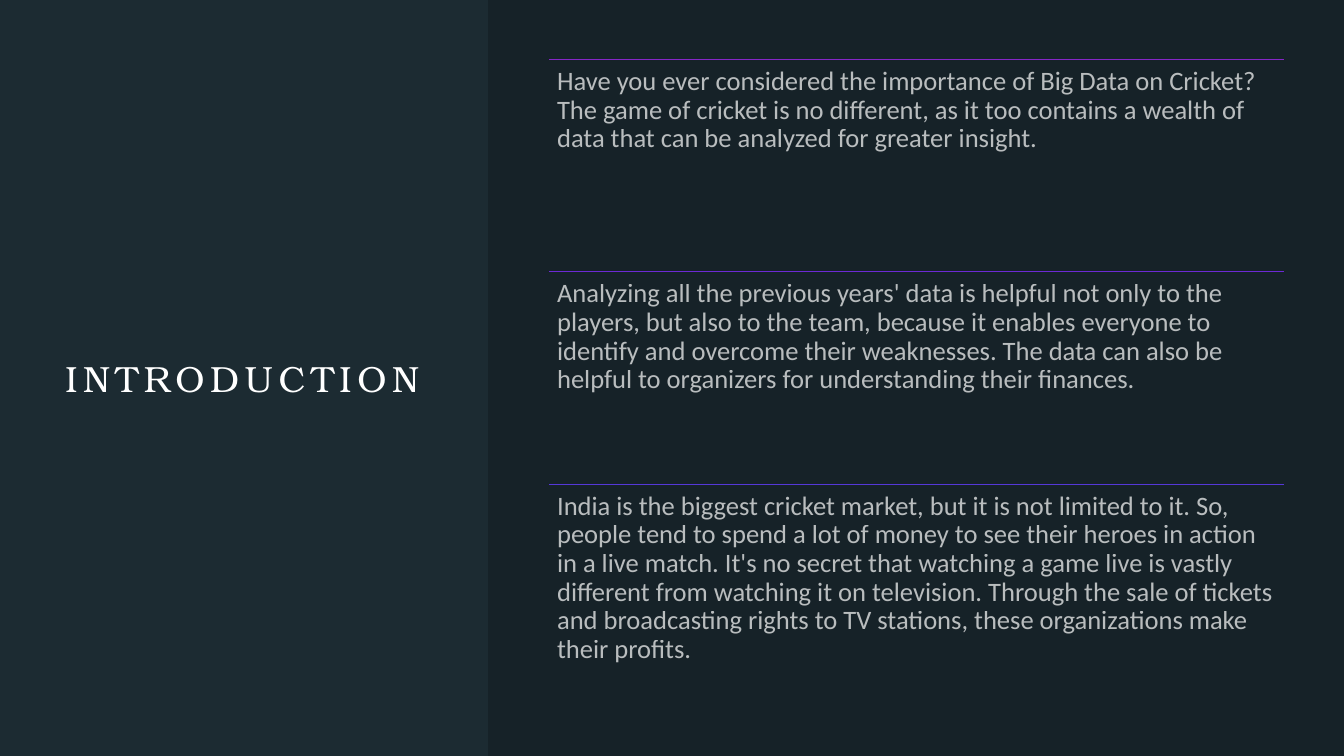
from lxml import etree
from pptx import Presentation
from pptx.dml.color import RGBColor
from pptx.enum.shapes import MSO_CONNECTOR, MSO_SHAPE
from pptx.enum.text import MSO_ANCHOR, MSO_AUTO_SIZE, PP_ALIGN
from pptx.oxml.ns import qn
from pptx.util import Cm, Pt

SLATE = RGBColor(0x1C, 0x2B, 0x32)
BLACK = RGBColor(0x00, 0x00, 0x00)
WHITE = RGBColor(0xFF, 0xFF, 0xFF)
PURPLE = RGBColor(0x85, 0x26, 0xC6)
VIOLET = RGBColor(0x6C, 0x29, 0xD5)
INDIGO = RGBColor(0x55, 0x38, 0xD8)

POINTS = [
    (PURPLE, 2.67, "Have you ever considered the importance of Big Data on Cricket? "
     "The game of cricket is no different, as it too contains a wealth of data "
     "that can be analyzed for greater insight."),
    (VIOLET, 4.14, "Analyzing all the previous years' data is helpful not only to the "
     "players, but also to the team, because it enables everyone to identify and "
     "overcome their weaknesses. The data can also be helpful to organizers for "
     "understanding their finances."),
    (INDIGO, 4.88, "India is the biggest cricket market, but it is not limited to it. "
     "So, people tend to spend a lot of money to see their heroes in action in a "
     "live match. It's no secret that watching a game live is vastly different from "
     "watching it on television. Through the sale of tickets and broadcasting rights "
     "to TV stations, these organizations make their profits."),
]
LEFT, WIDTH, TOP, STEP = 13.84, 18.52, 1.5, 5.35


def set_alpha(fill_parent, percent):
    color = fill_parent.find(qn("a:solidFill"))[0]
    etree.SubElement(color, qn("a:alpha")).set("val", str(percent * 1000))


def add_text(s, box, text, inset, frame_format, para_format, font_format):
    sp = s.shapes.add_textbox(*[Cm(v) for v in box])
    tf = sp.text_frame
    margins = {f"margin_{side}": Cm(inset) for side in ("left", "top", "right", "bottom")}
    p = tf.paragraphs[0]
    r = p.add_run()
    r.text = text
    r.font.color.rgb = WHITE
    for target, values in ((tf, {"word_wrap": True, **margins, **frame_format}),
                           (p, para_format), (r.font, font_format)):
        for name, value in values.items():
            setattr(target, name, value)
    return r


prs = Presentation()
prs.slide_width, prs.slide_height = Cm(33.87), Cm(19.05)
s = prs.slides.add_slide(prs.slide_layouts[6])
s.background.fill.solid()
s.background.fill.fore_color.rgb = SLATE

r = add_text(s, (1.5, 3, 9.22, 13.03), "INTRODUCTION", 0,
             {"vertical_anchor": MSO_ANCHOR.MIDDLE},
             {"alignment": PP_ALIGN.CENTER},
             {"name": "TeX Gyre Bonum", "size": Pt(26)})
r.font._element.set("spc", "400")

panel = s.shapes.add_shape(MSO_SHAPE.RECTANGLE, Cm(12.3), 0, Cm(21.57), prs.slide_height)
panel.shadow.inherit = False
panel.fill.solid()
panel.fill.fore_color.rgb = BLACK
panel.line.fill.background()
set_alpha(panel._element.spPr, 20)

for i, (color, height, text) in enumerate(POINTS):
    y = TOP + i * STEP
    rule = s.shapes.add_connector(MSO_CONNECTOR.STRAIGHT, Cm(LEFT), Cm(y),
                                  Cm(LEFT + WIDTH), Cm(y))
    rule.line.color.rgb = color
    rule.line.width = Pt(0.75)
    etree.SubElement(rule._element.spPr, qn("a:effectLst"))
    r = add_text(s, (LEFT, y, WIDTH, height), text, 0.2,
                 {"auto_size": MSO_AUTO_SIZE.SHAPE_TO_FIT_TEXT},
                 {"line_spacing": 0.9, "space_before": Pt(7)},
                 {"name": "Calibri", "size": Pt(19)})
    set_alpha(r.font._element, 70)

prs.save("out.pptx")
